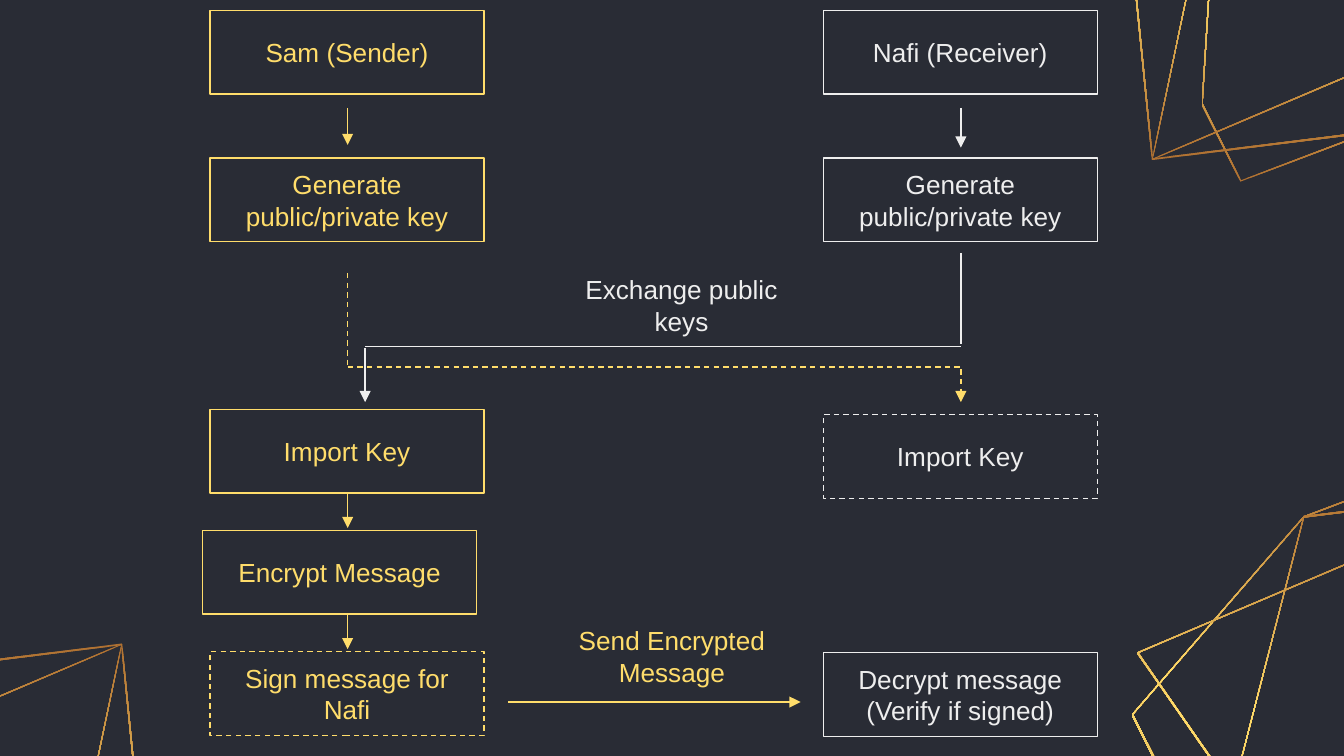
from lxml import etree
from pptx import Presentation
from pptx import util as u
from pptx.dml.color import RGBColor
from pptx.enum import dml, shapes, text
from pptx.oxml import parse_xml
from pptx.oxml.ns import nsdecls, qn

GOLD, PALE, DARK = "FFDD6B", "EEEEEE", "292C35"


def color(code):
    return RGBColor.from_string(code)


class Chart:
    """Style and current slide of the flow chart; all lengths in cm."""

    font, size, weight, inset = "Arial", 14, 0.75, 0.25
    wide, high = 5.18, 1.58
    stops = ((0, "AF7132"), (50, GOLD), (100, "DCAE52"))

    def __init__(self, slide):
        self.slide = slide
        slide.background.fill.solid()
        slide.background.fill.fore_color.rgb = color(DARK)

    def letter(self, shape, words, hue):
        frame = shape.text_frame
        frame.word_wrap = True
        frame.vertical_anchor = text.MSO_ANCHOR.MIDDLE
        frame.margin_left = frame.margin_right = u.Cm(self.inset)
        frame.margin_top = frame.margin_bottom = u.Cm(self.inset)
        frame.text = words
        for para in frame.paragraphs:
            para.alignment = text.PP_ALIGN.CENTER
            para.font.name = self.font
            para.font.size = u.Pt(self.size)
            para.font.color.rgb = color(hue)

    def stroke(self, line, hue, dash):
        line.color.rgb = color(hue)
        line.width = u.Pt(self.weight)
        if dash:
            line.dash_style = dml.MSO_LINE.DASH

    def box(self, x, y, words, hue, dash=False):
        shape = self.slide.shapes.add_shape(
            shapes.MSO_SHAPE.RECTANGLE, u.Cm(x), u.Cm(y), u.Cm(self.wide), u.Cm(self.high))
        shape.shadow.inherit = False
        shape.fill.background()
        self.stroke(shape.line, hue, dash)
        self.letter(shape, words, hue)

    def label(self, x, y, words, hue):
        shape = self.slide.shapes.add_textbox(
            u.Cm(x), u.Cm(y), u.Cm(self.wide), u.Cm(self.high))
        self.letter(shape, words, hue)

    def line(self, start, end, hue, head=True, dash=False):
        link = self.slide.shapes.add_connector(
            shapes.MSO_CONNECTOR.STRAIGHT, *(u.Cm(v) for v in (*start, *end)))
        self.stroke(link.line, hue, dash)
        props = link._element.spPr
        if head:
            tip = etree.SubElement(props.find(qn("a:ln")), qn("a:tailEnd"))
            tip.set("type", "triangle")
        etree.SubElement(props, qn("a:effectLst"))

    def ring(self, points, angle):
        """Thin gradient band that follows a polygon."""
        midx = sum(x for x, _ in points) / len(points)
        midy = sum(y for _, y in points) / len(points)

        def scaled(rate):
            return [(u.Cm(midx + (x - midx) * rate), u.Cm(midy + (y - midy) * rate))
                    for x, y in points]

        outer, inner = scaled(1.004), scaled(0.996)[::-1]
        band = self.slide.shapes.build_freeform(*outer[0], scale=1.0)
        band.add_line_segments(outer[1:], close=True)
        band.move_to(*inner[0])
        band.add_line_segments(inner[1:], close=True)
        shape = band.convert_to_shape()
        shape.shadow.inherit = False
        shape.line.fill.background()
        marks = "".join(f'<a:gs pos="{pos * 1000}"><a:srgbClr val="{hue}"/></a:gs>'
                        for pos, hue in self.stops)
        shape._element.spPr.find(qn("a:custGeom")).addnext(parse_xml(
            f'<a:gradFill {nsdecls("a")} rotWithShape="1"><a:gsLst>{marks}</a:gsLst>'
            f'<a:lin ang="{angle * 60000}" scaled="0"/></a:gradFill>'))


def main():
    deck = Presentation()
    deck.slide_width, deck.slide_height = u.Cm(25.4), u.Cm(14.29)
    chart = Chart(deck.slides.add_slide(deck.slide_layouts[6]))

    # Corner ornaments: one set of polygons, turned for the top, moved for the left
    gems = [
        [(22.91, 16.5), (21.4, 13.51), (24.64, 9.77), (27.07, 8.85), (27.8, 10.3), (27.5, 15.16)],
        [(25.12, 17.55), (22.91, 16.48), (24.64, 9.77), (28.74, 9.26), (27.5, 15.16)],
        [(25.12, 17.55), (21.5, 12.34), (28.74, 9.26), (29.07, 12.57)],
    ]
    for gem in gems:
        chart.ring(gem, 90)
    for gem in gems:
        chart.ring([(50.52 - x, 12.27 - y) for x, y in gem], 270)
    for gem in gems[1:]:
        chart.ring([(x - 26.44, y + 2.92) for x, y in gem], 90)

    # Steps of both sides
    left, right = 3.97, 15.56
    for x, name, hue in ((left, "Sam (Sender)", GOLD), (right, "Nafi (Receiver)", PALE)):
        chart.box(x, 0.2, name, hue)
        chart.box(x, 2.99, "Generate public/private key", hue)
    chart.box(left, 7.74, "Import Key", GOLD)
    chart.box(3.83, 10.03, "Encrypt Message", GOLD)
    chart.box(left, 12.32, "Sign message for Nafi", GOLD, dash=True)
    chart.box(right, 7.84, "Import Key", PALE, dash=True)
    chart.box(right, 12.34, "Decrypt message\n(Verify if signed)", PALE)

    # Arrows down each side
    send, take, turn = 6.57, 18.16, 6.9
    for top, end in ((2.04, 2.74), (9.32, 9.98), (11.61, 12.27)):
        chart.line((send, top), (send, end), GOLD)
    chart.line((take, 2.04), (take, 2.79), PALE)

    # Receiver's key to the sender
    chart.line((take, 4.78), (take, 6.5), PALE, head=False)
    chart.line((take, 6.55), (turn, 6.55), PALE, head=False)
    chart.line((turn, 6.58), (turn, 7.6), PALE)
    chart.label(10.29, 4.98, "Exchange public keys", PALE)

    # Sender's key to the receiver
    chart.line((send, 5.16), (send, 6.91), GOLD, head=False, dash=True)
    chart.line((send, 6.94), (take, 6.94), GOLD, head=False, dash=True)
    chart.line((take, 6.98), (take, 7.6), GOLD, dash=True)

    # Message
    chart.line((9.6, 13.27), (15.13, 13.27), GOLD)
    chart.label(10.11, 11.61, "Send Encrypted Message", GOLD)

    deck.save("out.pptx")


if __name__ == "__main__":
    main()
